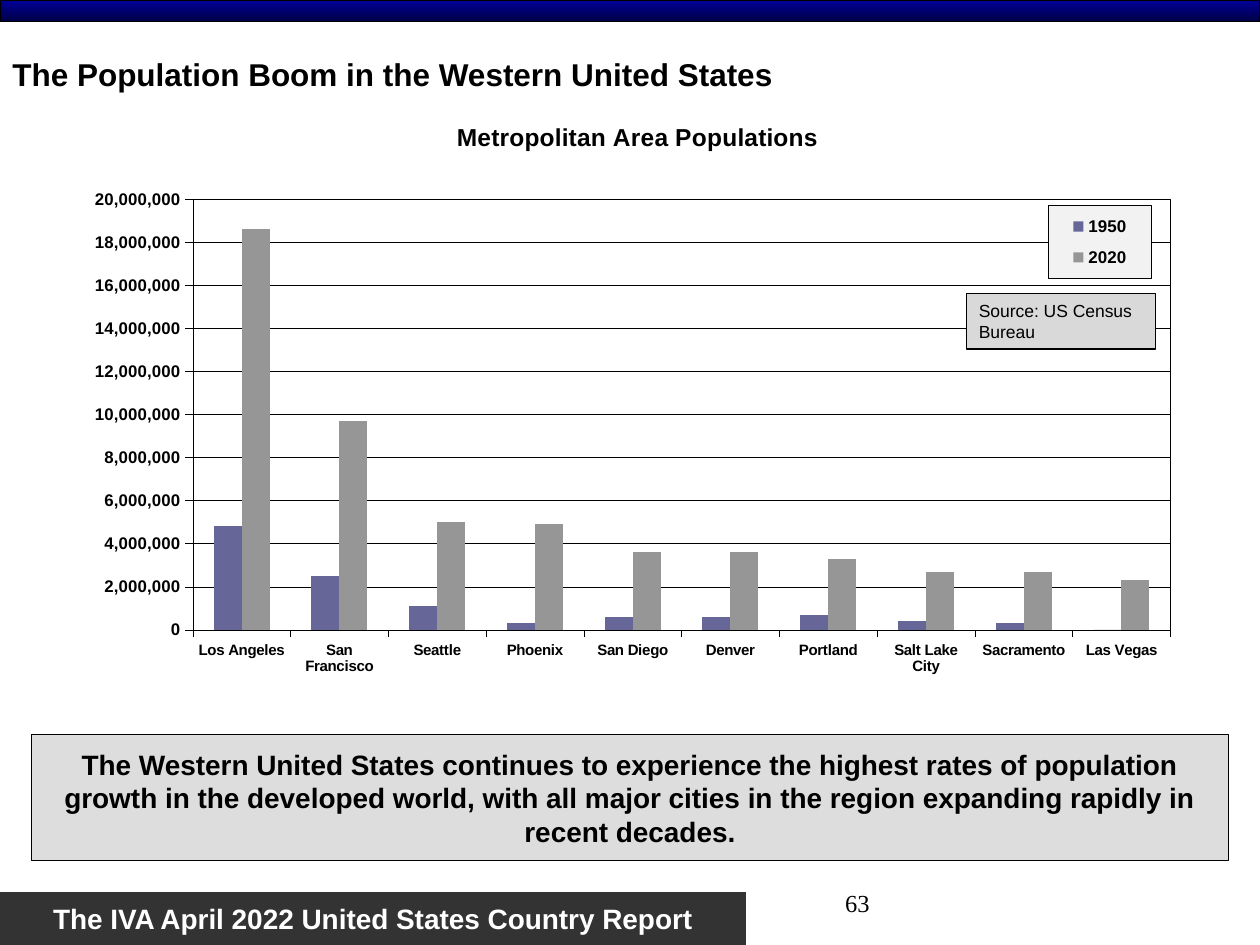
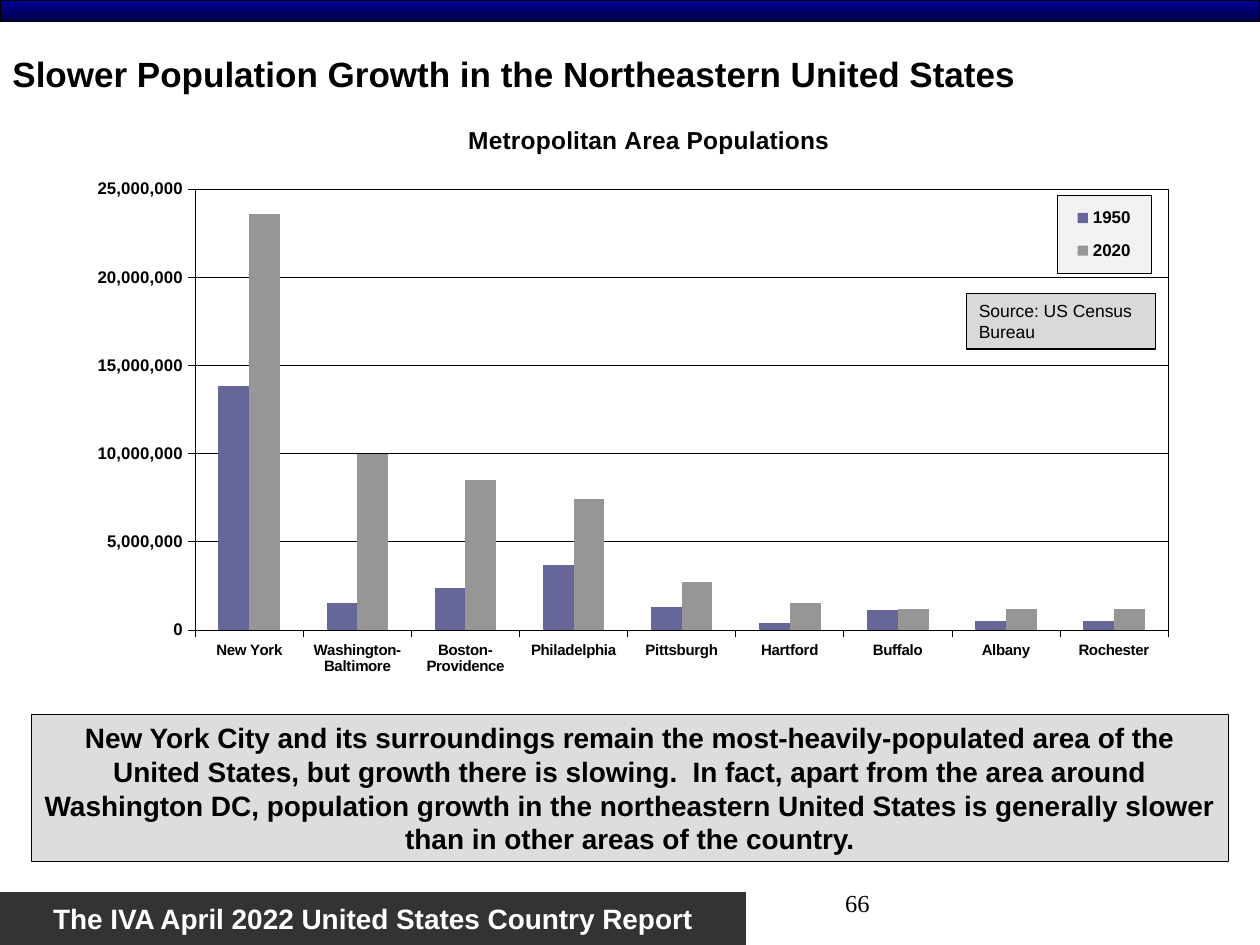
"""Build two slides comparing metropolitan populations in 1950 and 2020."""
import dataclasses

import lxml.etree
import pptx
import pptx.chart.data
import pptx.dml.color
import pptx.enum.chart
import pptx.enum.shapes
import pptx.enum.text
import pptx.oxml
import pptx.oxml.ns
import pptx.util

Inches = pptx.util.Inches
Pt = pptx.util.Pt
ALIGN = pptx.enum.text.PP_ALIGN
ANCHOR = pptx.enum.text.MSO_ANCHOR
TICK = pptx.enum.chart.XL_TICK_MARK

FOOTER = "The IVA April 2022 United States Country Report"
SOURCE = "Source: US Census Bureau"
CHART_TITLE = "Metropolitan Area Populations"
CHART_BOX = (0.47, 0.89, 9.06, 4.89)
MILLION = 1_000_000

SLIDES = [
    {
        "number": "63",
        "title": "The Population Boom in the Western United States",
        "title_size": 18,
        "message": "The Western United States continues to experience the highest rates of "
                   "population growth in the developed world, with all major cities in the "
                   "region expanding rapidly in recent decades.",
        "message_box": (0.25, 5.83, 9.5, 1),
        "cities": ["Los Angeles", "San Francisco", "Seattle", "Phoenix", "San Diego",
                   "Denver", "Portland", "Salt Lake City", "Sacramento", "Las Vegas"],
        "millions": {
            "1950": [4.8, 2.5, 1.1, 0.3, 0.6, 0.6, 0.7, 0.4, 0.3, 0],
            "2020": [18.6, 9.7, 5, 4.9, 3.6, 3.6, 3.3, 2.7, 2.7, 2.3],
        },
        "scale": (20, 2),
        "title_place": (3.12, 0.04),
        "plot_place": (1.06, 0.69, 7.76, 3.42),
        "legend_place": (7.85, 0.74, 0.82, 0.58),
    },
    {
        "number": "66",
        "title": "Slower Population Growth in the Northeastern United States",
        "title_size": 20,
        "message": "New York City and its surroundings remain the most-heavily-populated area "
                   "of the United States, but growth there is slowing.  In fact, apart from the "
                   "area around Washington DC, population growth in the northeastern United "
                   "States is generally slower than in other areas of the country.",
        "message_box": (0.25, 5.67, 9.5, 1.17),
        "cities": ["New York", "Washington-Baltimore", "Boston-Providence", "Philadelphia",
                   "Pittsburgh", "Hartford", "Buffalo", "Albany", "Rochester"],
        "millions": {
            "1950": [13.8, 1.5, 2.4, 3.7, 1.3, 0.4, 1.1, 0.5, 0.5],
            "2020": [23.6, 10, 8.5, 7.4, 2.7, 1.5, 1.2, 1.2, 1.2],
        },
        "scale": (25, 5),
        "title_place": (3.21, 0.06),
        "plot_place": (1.08, 0.61, 7.72, 3.5),
        "legend_place": (7.92, 0.66, 0.75, 0.62),
    },
]


@dataclasses.dataclass(frozen=True)
class Theme:
    sans: str = "Arial"
    serif: str = "Times New Roman"
    black: str = "000000"
    white: str = "FFFFFF"
    band: tuple = ("000099", "000047")
    footer: str = "333333"
    message: str = "DDDDDD"
    source: str = "D9D9D9"
    legend: str = "F2F2F2"
    series: tuple = ("666699", "969696")
    message_size: float = 16
    number_size: float = 14
    source_size: float = 10
    chart_title_size: float = 14
    city_size: float = 8.6
    value_size: float = 9.6
    legend_size: float = 9.7
    border: float = 0.75
    hairline: float = 0.25


THEME = Theme()


def color(value):
    return pptx.dml.color.RGBColor.from_string(value)


def apply(target, values):
    for name, value in values.items():
        setattr(target, name, value)


def style_font(font, size, ink=THEME.black, bold=True, name=THEME.sans):
    apply(font, {"size": Pt(size), "bold": bold, "name": name})
    font.color.rgb = color(ink)


def style_line(line, width):
    line.color.rgb = color(THEME.black)
    line.width = Pt(width)


def write(shape, text, size, align=ALIGN.LEFT, anchor=ANCHOR.MIDDLE, wrap=True, **font):
    apply(shape.text_frame, {"word_wrap": wrap, "vertical_anchor": anchor})
    paragraph = shape.text_frame.paragraphs[0]
    apply(paragraph, {"text": text, "alignment": align})
    style_font(paragraph.runs[0].font, size, **font)


def add_box(slide, box, fill=None, outlined=True):
    shape = slide.shapes.add_shape(pptx.enum.shapes.MSO_SHAPE.RECTANGLE, *map(Inches, box))
    shape.shadow.inherit = False
    if fill:
        shape.fill.solid()
        shape.fill.fore_color.rgb = color(fill)
    if outlined:
        style_line(shape.line, THEME.border)
    else:
        shape.line.fill.background()
    return shape


def add_text(slide, box, text, size, **options):
    write(slide.shapes.add_textbox(*map(Inches, box)), text, size, **options)


def add_frame(slide, content):
    band = add_box(slide, (0, 0, 10, 0.17))
    band.fill.gradient()
    band.fill.gradient_angle = 270
    for stop, shade, position in zip(band.fill.gradient_stops, THEME.band, (0, 1)):
        stop.color.rgb = color(shade)
        stop.position = position
    footer = add_box(slide, (0, 7.08, 5.92, 0.42), THEME.footer, outlined=False)
    write(footer, FOOTER, THEME.message_size, ALIGN.CENTER, wrap=False, ink=THEME.white)
    add_text(slide, (4.92, 7, 2.08, 0.5), content["number"], THEME.number_size,
             align=ALIGN.RIGHT, anchor=ANCHOR.TOP, bold=False, name=THEME.serif)
    add_text(slide, (0, 0.25, 9.58, 0.67), content["title"], content["title_size"])


def place(element, box, inner=False):
    tag = pptx.oxml.ns.qn
    for old_layout in element.findall(tag("c:layout")):
        element.remove(old_layout)
    layout = lxml.etree.Element(tag("c:layout"))
    manual = lxml.etree.SubElement(layout, tag("c:manualLayout"))
    settings = {"layoutTarget": "inner"} if inner else {}
    settings |= {"xMode": "edge", "yMode": "edge"}
    width, height = CHART_BOX[2:]
    settings |= {name: length / whole for name, length, whole
                 in zip("xywh", box, (width, height, width, height))}
    for name, value in settings.items():
        lxml.etree.SubElement(manual, tag("c:" + name)).set("val", str(value))
    overlay = element.find(tag("c:overlay"))
    if overlay is None:
        element.insert(0, layout)
    else:
        overlay.addprevious(layout)


def outline(fill):
    paint = f'<a:solidFill><a:srgbClr val="{fill}"/></a:solidFill>' if fill else "<a:noFill/>"
    return pptx.oxml.parse_xml(
        f'<c:spPr {pptx.oxml.ns.nsdecls("c", "a")}>{paint}'
        f'<a:ln w="{Pt(THEME.hairline)}"><a:solidFill><a:srgbClr val="{THEME.black}"/>'
        '</a:solidFill></a:ln></c:spPr>')


def style_axes(chart, scale):
    maximum, step = (amount * MILLION for amount in scale)
    apply(chart.value_axis, {"minimum_scale": 0, "maximum_scale": maximum, "major_unit": step,
                             "has_major_gridlines": True})
    style_line(chart.value_axis.major_gridlines.format.line, THEME.hairline)
    apply(chart.value_axis.tick_labels,
          {"number_format": "#,##0", "number_format_is_linked": False})
    for axis, size in ((chart.category_axis, THEME.city_size),
                       (chart.value_axis, THEME.value_size)):
        apply(axis, {"major_tick_mark": TICK.OUTSIDE, "minor_tick_mark": TICK.NONE})
        style_line(axis.format.line, THEME.hairline)
        style_font(axis.tick_labels.font, size)
    city_labels = chart.element.xpath(".//c:catAx/c:txPr/a:bodyPr")[0]
    for name, value in {"rot": "0", "vert": "horz"}.items():
        city_labels.set(name, value)


def add_population_chart(slide, content):
    data = pptx.chart.data.CategoryChartData(number_format="#,##0")
    data.categories = content["cities"]
    for year, millions in content["millions"].items():
        data.add_series(year, [round(amount * MILLION) for amount in millions])
    chart = slide.shapes.add_chart(pptx.enum.chart.XL_CHART_TYPE.COLUMN_CLUSTERED,
                                   *map(Inches, CHART_BOX), data).chart
    style_font(chart.font, THEME.value_size)
    apply(chart, {"has_title": True, "has_legend": True})
    title = chart.chart_title.text_frame.paragraphs[0]
    title.text = CHART_TITLE
    style_font(title.runs[0].font, THEME.chart_title_size)
    apply(chart.legend, {"position": pptx.enum.chart.XL_LEGEND_POSITION.RIGHT,
                         "include_in_layout": False})
    style_font(chart.legend.font, THEME.legend_size)
    style_axes(chart, content["scale"])

    plot = chart.plots[0]
    apply(plot, {"gap_width": 150, "overlap": 0, "vary_by_categories": False})
    for series, shade in zip(plot.series, THEME.series):
        series.format.fill.solid()
        series.format.fill.fore_color.rgb = color(shade)

    title_part, plot_part, legend_part = (
        chart.element.xpath(f"c:chart/c:{name}")[0] for name in ("title", "plotArea", "legend"))
    place(title_part, content["title_place"])
    place(plot_part, content["plot_place"], inner=True)
    place(legend_part, content["legend_place"])
    plot_part.append(outline(None))
    legend_part.find(pptx.oxml.ns.qn("c:overlay")).addnext(outline(THEME.legend))


def add_population_slide(presentation, content):
    slide = presentation.slides.add_slide(presentation.slide_layouts[6])
    add_frame(slide, content)
    message = add_box(slide, content["message_box"], THEME.message)
    write(message, content["message"], THEME.message_size, ALIGN.CENTER)
    add_population_chart(slide, content)
    source = add_box(slide, (7.67, 2.33, 1.5, 0.44), THEME.source)
    write(source, SOURCE, THEME.source_size, bold=False)


def main():
    presentation = pptx.Presentation()
    apply(presentation, {"slide_width": Inches(10), "slide_height": Inches(7.5)})
    for content in SLIDES:
        add_population_slide(presentation, content)
    presentation.save("out.pptx")


if __name__ == "__main__":
    main()
